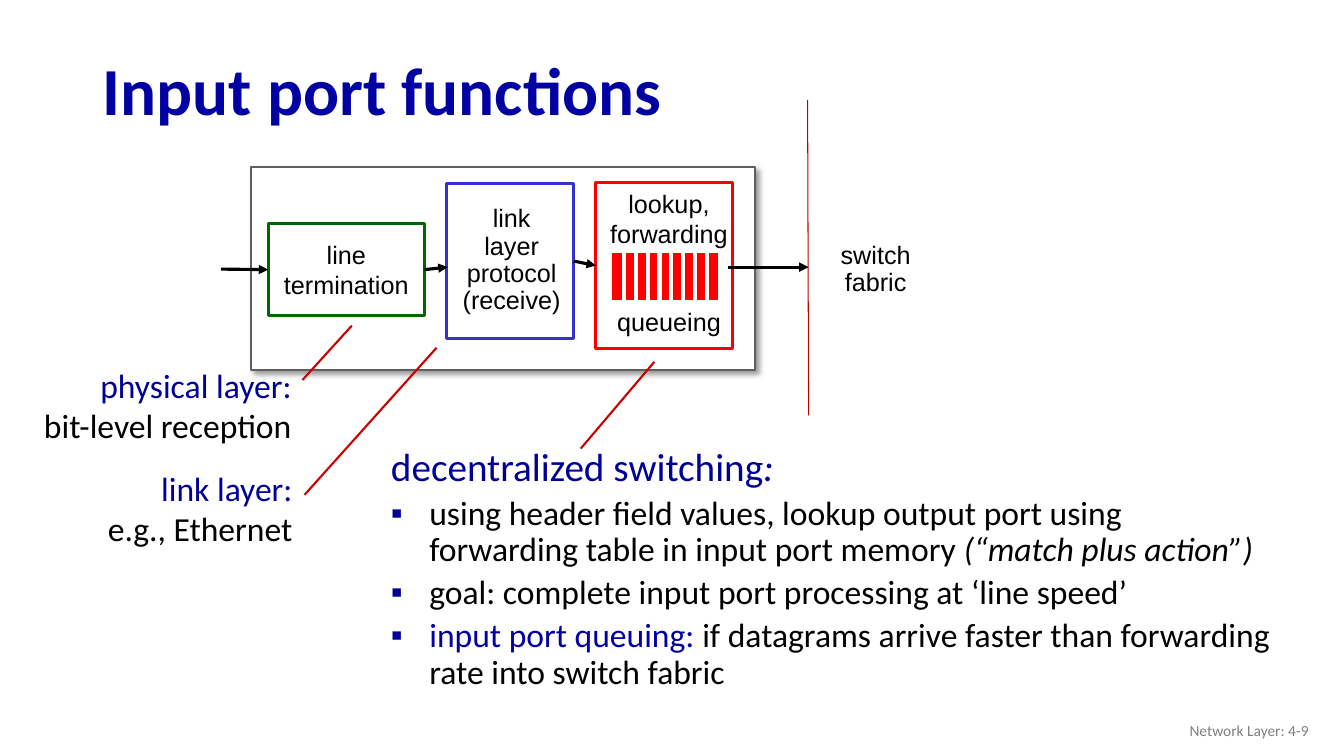
from dataclasses import dataclass

from lxml.etree import SubElement
from pptx import Presentation
from pptx.dml.color import RGBColor
from pptx.enum.shapes import MSO_CONNECTOR as Connector, MSO_SHAPE as Shape
from pptx.enum.text import MSO_ANCHOR as Anchor, MSO_AUTO_SIZE as AutoSize, PP_ALIGN as Align
from pptx.oxml.ns import qn
from pptx.util import Inches, Pt


@dataclass(frozen=True)
class Theme:
    heading_font: str = "Calibri"
    diagram_font: str = "Arial"
    title: str = "0000A3"
    term: str = "000099"
    ink: str = "000000"
    paper: str = "FFFFFF"
    frame: str = "5F5F5F"
    physical: str = "006600"
    link: str = "3333CC"
    lookup: str = "FF0000"
    pointer: str = "CC0000"
    fabric: str = "C00000"
    footer: str = "808080"
    title_size: int = 48
    lead_size: int = 28
    body_size: int = 24
    diagram_size: int = 18
    footer_size: int = 11


class SlideBuilder:
    def __init__(self, slide, theme):
        self.slide = slide
        self.theme = theme

    def title(self, words, bounds):
        title = self.slide.shapes.title
        title.left, title.top, title.width, title.height = map(Inches, bounds)
        self.set_lines(title.text_frame, [words], self.theme.title_size, self.theme.heading_font,
                       color=self.theme.title, spacing=0.9, anchor=Anchor.MIDDLE)
        title.text_frame.paragraphs[0].runs[0].font.bold = True

    def set_lines(self, frame, lines, size, font, color=None, align=Align.LEFT,
                  spacing=1.0, anchor=Anchor.TOP, wrap=True):
        """Fill a frame; a line is a string or a list of (text, color, italic) runs."""
        frame.auto_size = AutoSize.NONE
        frame.word_wrap = wrap
        frame.vertical_anchor = anchor
        for index, line in enumerate(lines):
            paragraph = frame.add_paragraph() if index else frame.paragraphs[0]
            paragraph.alignment = align
            paragraph.line_spacing = spacing
            pieces = [(line, color or self.theme.ink, False)] if isinstance(line, str) else line
            for words, run_color, italic in pieces:
                run = paragraph.add_run()
                run.text = words
                run.font.size = Pt(size)
                run.font.name = font
                run.font.italic = italic
                run.font.color.rgb = RGBColor.from_string(run_color)
        return frame

    def label(self, bounds, lines, size=None, font=None, **style):
        box = self.slide.shapes.add_textbox(*map(Inches, bounds))
        return self.set_lines(box.text_frame, lines, size or self.theme.body_size,
                              font or self.theme.heading_font, **style)

    def diagram_label(self, bounds, lines, spacing=1.0, anchor=Anchor.MIDDLE):
        return self.label(bounds, lines, self.theme.diagram_size, self.theme.diagram_font,
                          align=Align.CENTER, spacing=spacing, anchor=anchor, wrap=False)

    def box(self, bounds, line, width, fill=None):
        box = self.slide.shapes.add_shape(Shape.RECTANGLE, *map(Inches, bounds))
        box.shadow.inherit = False
        if fill:
            box.fill.solid()
            box.fill.fore_color.rgb = RGBColor.from_string(fill)
        else:
            box.fill.background()
        box.line.color.rgb = RGBColor.from_string(line)
        box.line.width = Pt(width)
        return box

    def drop_shadow(self, box):
        effects = box.element.spPr.find(qn("a:effectLst"))
        shadow = SubElement(effects, qn("a:outerShdw"), blurRad=str(Pt(4)), dist=str(Pt(3)),
                            dir=str(45 * 60000), algn="tl", rotWithShape="0")
        color = SubElement(shadow, qn("a:srgbClr"), val=self.theme.ink)
        SubElement(color, qn("a:alpha"), val="40000")

    def line(self, start, end, color, width):
        line = self.slide.shapes.add_connector(Connector.STRAIGHT, *map(Inches, (*start, *end)))
        line.line.color.rgb = RGBColor.from_string(color)
        line.line.width = Pt(width)
        SubElement(line.element.spPr, qn("a:effectLst"))
        return line

    def arrow(self, start, end, source=None, target=None):
        """Draw a flow arrow, joined to the right of source and the left of target."""
        arrow = self.line(start, end, self.theme.ink, 2.25)
        SubElement(arrow.element.spPr.find(qn("a:ln")), qn("a:tailEnd"), type="triangle")
        if source:
            arrow.begin_connect(source, 3)
        if target:
            arrow.end_connect(target, 1)

    def bullet(self, paragraph):
        properties = paragraph._p.get_or_add_pPr()
        properties.set("marL", str(Inches(0.38)))
        properties.set("indent", str(-Inches(0.38)))
        bullet_color = SubElement(properties, qn("a:buClr"))
        SubElement(bullet_color, qn("a:srgbClr"), val=self.theme.term)
        SubElement(properties, qn("a:buFont"), typeface=self.theme.diagram_font)
        SubElement(properties, qn("a:buChar"), char="▪")


def draw_port(page):
    theme = page.theme
    page.drop_shadow(page.box((2.49, 1.66, 5, 2.01), theme.frame, 1.5, theme.paper))
    page.line((8.01, 0.99), (8.02, 4.12), theme.fabric, 0.75)
    page.diagram_label((8.11, 2.22, 1.15, 0.91), ["switch", "fabric"], spacing=0.9)

    termination = page.box((2.66, 2.22, 1.55, 0.91), theme.physical, 2.25, theme.paper)
    page.set_lines(termination.text_frame, ["line", "termination"], theme.diagram_size,
                   theme.diagram_font, align=Align.CENTER, anchor=Anchor.MIDDLE, wrap=False)
    protocol = page.box((4.43, 1.82, 1.26, 1.54), theme.link, 2.25)
    page.diagram_label((4.5, 2.13, 1.15, 0.91),
                       ["link", "layer", "protocol", "(receive)"], spacing=0.9)
    lookup = page.box((5.91, 1.81, 1.36, 1.65), theme.lookup, 2.25)
    stages = page.diagram_label((5.95, 1.82, 1.37, 1.6),
                                ["lookup,", "forwarding", "queueing"], anchor=Anchor.TOP)
    stages.paragraphs[2].space_before = Pt(41)

    page.box((6.05, 2.49, 1.09, 0.51), theme.paper, 3, theme.lookup)
    for slot in range(8):
        x = 6.19 + slot * 0.82 / 7
        page.line((x, 2.5), (x, 2.99), theme.paper, 3)

    page.arrow((2.19, 2.67), (2.66, 2.67), target=termination)
    page.arrow((4.21, 2.67), (4.44, 2.65), source=termination)
    page.arrow((5.69, 2.6), (5.91, 2.61), source=protocol, target=lookup)
    page.arrow((7.22, 2.65), (8.02, 2.65))


def draw_explanations(page):
    theme = page.theme
    layers = [
        ((0.28, 3.57, 2.71, 0.91), "physical layer:", "bit-level reception"),
        ((0.95, 4.59, 2.05, 0.91), "link layer:", "e.g., Ethernet"),
    ]
    for bounds, term, meaning in layers:
        page.label(bounds, [[(term, theme.term, False)], meaning], align=Align.RIGHT)

    pointers = [((3, 3.77), (3.49, 3.23)), ((3.02, 4.91), (4.33, 3.45)),
                ((5.76, 4.45), (6.49, 3.59))]
    for start, end in pointers:
        page.line(start, end, theme.pointer, 1.5)

    switching = page.label((3.78, 4.39, 8.96, 2.92), [
        [("decentralized switching", theme.term, False), (":", theme.term, True)],
        [("using header field values, lookup output port using forwarding table "
          "in input port memory ", theme.ink, False),
         ("(“match plus action”)", theme.ink, True)],
        "goal: complete input port processing at ‘line speed’",
        [("input port queuing: ", theme.title, False),
         ("if datagrams arrive faster than forwarding rate into switch fabric",
          theme.ink, False)],
    ], spacing=0.9)
    lead, *points = switching.paragraphs
    for run in lead.runs:
        run.font.size = Pt(theme.lead_size)
    for point in points:
        point.space_before = Pt(theme.body_size * 0.2)
        page.bullet(point)


def main():
    deck = Presentation()
    deck.slide_width, deck.slide_height = Inches(13.33), Inches(7.5)
    theme = Theme()
    page = SlideBuilder(deck.slides.add_slide(deck.slide_layouts[5]), theme)
    page.title("Input port functions", (0.92, 0.44, 11.5, 0.98))
    draw_port(page)
    draw_explanations(page)
    page.label((10.08, 7.05, 3, 0.4), ["Network Layer: 4-9"], theme.footer_size,
               color=theme.footer, align=Align.RIGHT, anchor=Anchor.MIDDLE)
    deck.save("out.pptx")


if __name__ == "__main__":
    main()
